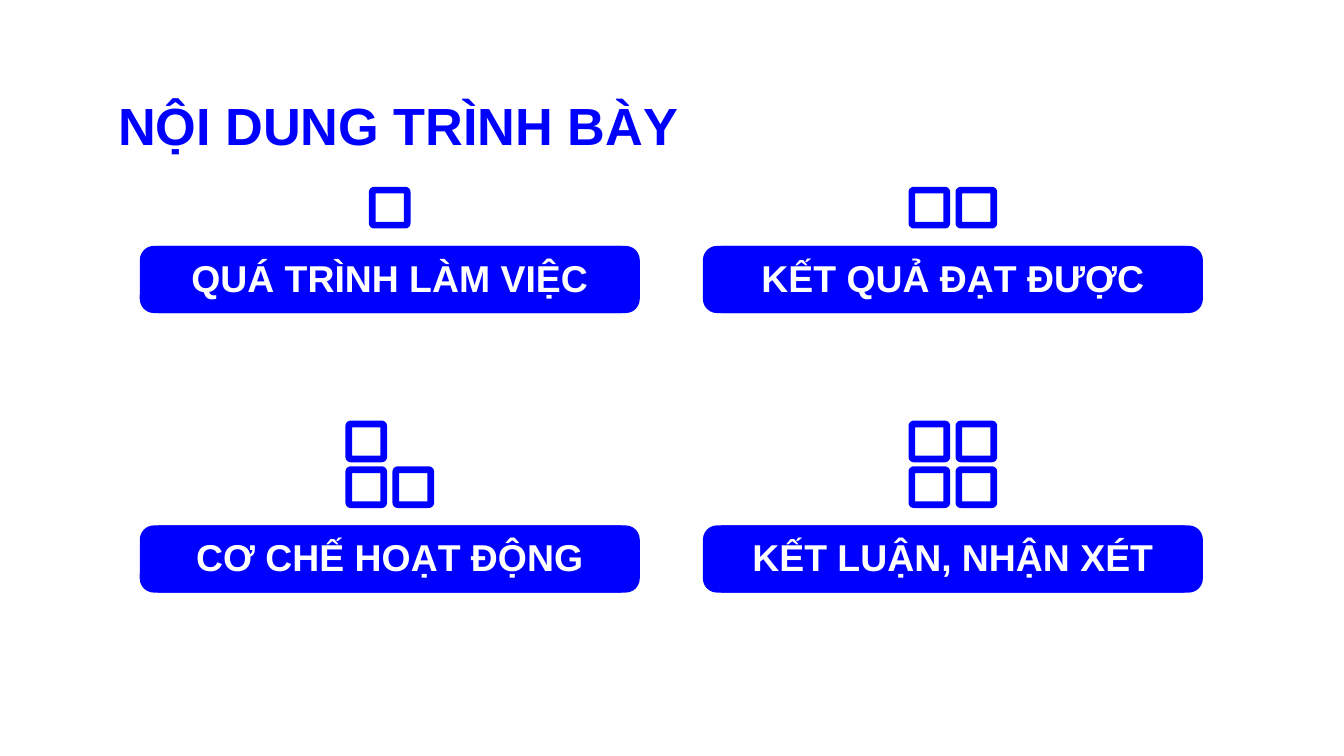
"""Build the agenda slide: a title and four topics with square-count icons."""
from dataclasses import dataclass
from math import cos, pi, sin

from pptx import Presentation
from pptx.dml.color import RGBColor
from pptx.enum.shapes import MSO_SHAPE as Shape
from pptx.enum.text import MSO_ANCHOR as Anchor, MSO_AUTO_SIZE as AutoSize, PP_ALIGN as Align
from pptx.util import Inches, Pt

COLORS = {"blue": "0000FE", "white": "FFFFFF"}
FONT = "Arial"
LEFT, TOP = 1.04, 1.83
COL_STEP, ROW_STEP = 4.19, 2.08
BAR_W, BAR_H, LABEL_W = 3.72, 0.5, 3.45
SQUARE, BORDER, RADIUS = 0.31, 0.05, 0.04
SQUARE_DX, SQUARE_DY, ICON_GAP = 0.35, 0.34, 0.13


@dataclass(frozen=True)
class Topic:
    """A topic, its grid cell and the squares in each icon row, bottom row first."""
    text: str
    col: int
    row: int
    squares: tuple[int, ...]

    @property
    def center(self) -> float:
        """Return the horizontal centre of the topic."""
        return LEFT + self.col * COL_STEP + BAR_W / 2

    @property
    def top(self) -> float:
        """Return the top of the topic's bar."""
        return TOP + self.row * ROW_STEP


TOPICS = (
    Topic("QUÁ TRÌNH LÀM VIỆC", 0, 0, (1,)),
    Topic("CƠ CHẾ HOẠT ĐỘNG", 0, 1, (2, 1)),
    Topic("KẾT QUẢ ĐẠT ĐƯỢC", 1, 0, (2,)),
    Topic("KẾT LUẬN, NHẬN XÉT", 1, 1, (2, 2)),
)


def paint(sp) -> None:
    """Give a shape a plain blue fill."""
    sp.shadow.inherit = False
    sp.fill.solid()
    sp.fill.fore_color.rgb = RGBColor.from_string(COLORS["blue"])
    sp.line.fill.background()


def write(sp, text: str, *, size: int, color: str, align: Align, anchor: Anchor) -> None:
    """Set a shape's text and its format."""
    tf = sp.text_frame
    tf.word_wrap, tf.auto_size, tf.vertical_anchor = True, AutoSize.NONE, anchor
    tf.margin_left = tf.margin_right = tf.margin_top = tf.margin_bottom = Inches(0.1)
    p = tf.paragraphs[0]
    p.alignment = align
    r = p.add_run()
    r.text = text
    r.font.name, r.font.size, r.font.bold = FONT, Pt(size), True
    r.font.color.rgb = RGBColor.from_string(COLORS[color])


def add_block(shapes, topic: Topic, kind: Shape, width: float):
    """Draw a blue block centred on a topic."""
    sp = shapes.add_shape(kind, Inches(topic.center - width / 2), Inches(topic.top),
                          Inches(width), Inches(BAR_H))
    paint(sp)
    return sp


def rounded_outline(x: float, y: float) -> list[tuple[int, int]]:
    """Return the points of a square with rounded corners."""
    near, far = RADIUS, SQUARE - RADIUS
    centers = ((far, far), (near, far), (near, near), (far, near))
    angles = [[(quarter + step / 6) * pi / 2 for step in range(7)] for quarter in range(4)]
    return [(Inches(x + cx + RADIUS * cos(a)), Inches(y + cy + RADIUS * sin(a)))
            for (cx, cy), arc in zip(centers, angles) for a in arc]


def add_square(shapes, x: float, y: float) -> None:
    """Draw a hollow square with rounded outer corners."""
    outer = rounded_outline(x, y)
    left, top = Inches(x + BORDER), Inches(y + BORDER)
    right, bottom = Inches(x + SQUARE - BORDER), Inches(y + SQUARE - BORDER)
    builder = shapes.build_freeform(*outer[0])
    builder.add_line_segments(outer[1:], close=True)
    builder.move_to(left, top)
    builder.add_line_segments([(left, bottom), (right, bottom), (right, top)], close=True)
    paint(builder.convert_to_shape())


def add_icon(shapes, topic: Topic) -> None:
    """Stack a topic's squares above its bar."""
    width = SQUARE + (max(topic.squares) - 1) * SQUARE_DX
    for level, count in enumerate(topic.squares):
        for i in range(count):
            add_square(shapes, topic.center - width / 2 + i * SQUARE_DX,
                       topic.top - ICON_GAP - SQUARE - level * SQUARE_DY)


def add_topic(shapes, topic: Topic) -> None:
    """Draw a topic's bar, label and icon."""
    bar = add_block(shapes, topic, Shape.ROUNDED_RECTANGLE, BAR_W)
    bar.adjustments[0] = 0.21
    label = add_block(shapes, topic, Shape.RECTANGLE, LABEL_W)
    write(label, topic.text, size=20, color="white", align=Align.CENTER, anchor=Anchor.BOTTOM)
    add_icon(shapes, topic)


def main() -> None:
    """Build and save the slide."""
    prs = Presentation()
    prs.slide_width = Inches(10)
    prs.slide_height = prs.slide_width * 9 // 16
    s = prs.slides.add_slide(prs.slide_layouts[5])
    title = s.shapes.title
    title.left, title.top = Inches(0.78), Inches(0.59)
    title.width, title.height = Inches(8.44), Inches(0.63)
    write(title, "NỘI DUNG TRÌNH BÀY", size=28, color="blue",
          align=Align.LEFT, anchor=Anchor.TOP)
    for topic in TOPICS:
        add_topic(s.shapes, topic)
    prs.save("out.pptx")


if __name__ == "__main__":
    main()
